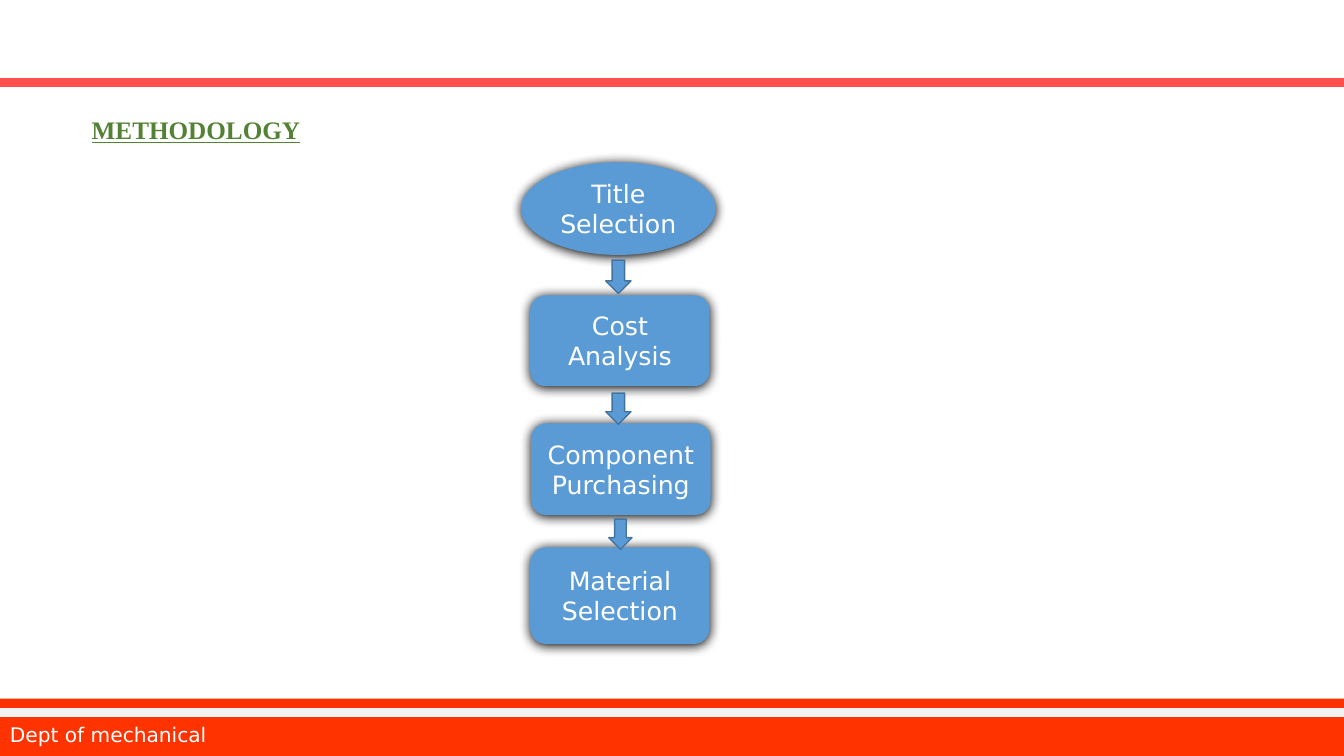
from dataclasses import dataclass

from lxml.etree import SubElement
from pptx import Presentation
from pptx.dml.color import RGBColor
from pptx.enum.shapes import MSO_CONNECTOR as Conn, MSO_SHAPE as Shp
from pptx.enum.text import MSO_ANCHOR as Anchor, MSO_AUTO_SIZE as Fit, PP_ALIGN as Al
from pptx.oxml.ns import qn
from pptx.util import Pt

SANS, SERIF = "DejaVu Sans", "Times New Roman"
WHITE, BLUE, BLUE_EDGE, RED = "FFFFFF", "5B9BD5", "43739E", "FF3300"
LABEL = dict(size=Pt(18), name=SANS)
FOOTER = dict(size=Pt(14.4), name=SANS)
HEADING = dict(size=Pt(18), name=SERIF, bold=True, underline=True)


@dataclass
class Box:
    left: float
    top: float
    width: float
    height: float

    def points(self) -> tuple:
        return Pt(self.left), Pt(self.top), Pt(self.width), Pt(self.height)


@dataclass
class Step:
    text: str
    kind: Shp
    box: Box


@dataclass
class Rule:
    x1: float
    x2: float
    y: float
    color: str


STEPS = [
    Step("Title Selection", Shp.OVAL, Box(372.2, 115.9, 139, 66.2)),
    Step("Cost Analysis", Shp.ROUNDED_RECTANGLE, Box(378.7, 211, 128.2, 64.8)),
    Step("Component Purchasing", Shp.ROUNDED_RECTANGLE, Box(379.4, 302.4, 128.2, 65.5)),
    Step("Material Selection", Shp.ROUNDED_RECTANGLE, Box(378.7, 391, 128.2, 69.1)),
]
ARROWS = [Box(432.7, 185.8, 18, 23.8), Box(432.7, 280.8, 18, 22.3),
          Box(434.9, 370.8, 16.6, 21.6)]


def rgb(color: str) -> RGBColor:
    return RGBColor.from_string(color)


def write(tf, text: str, align: Al, color: str, fmt: dict) -> None:
    tf.word_wrap = True
    tf.auto_size = Fit.NONE
    tf.vertical_anchor = Anchor.MIDDLE
    p = tf.paragraphs[0]
    p.alignment = align
    r = p.add_run()
    r.text = text
    for key, value in fmt.items():
        setattr(r.font, key, value)
    r.font.color.rgb = rgb(color)


def add_block(s, kind: Shp, box: Box, fill: str, edge: str = ""):
    sp = s.shapes.add_shape(kind, *box.points())
    sp.fill.solid()
    sp.fill.fore_color.rgb = rgb(fill)
    if edge:
        sp.line.color.rgb = rgb(edge)
        sp.line.width = Pt(1)
    else:
        sp.line.fill.background()
    sp.shadow.inherit = False
    return sp


def add_shadow(sp) -> None:
    effects = sp._element.spPr.find(qn("a:effectLst"))
    shadow = SubElement(effects, qn("a:outerShdw"), blurRad=str(Pt(8.5)),
                        dist=str(Pt(1)), dir=str(90 * 60000),
                        algn="ctr", rotWithShape="0")
    SubElement(shadow, qn("a:srgbClr"), val="000000")


def add_rule(s, rule: Rule) -> None:
    line = s.shapes.add_connector(Conn.STRAIGHT, Pt(rule.x1), Pt(rule.y),
                                  Pt(rule.x2), Pt(rule.y))
    line.line.color.rgb = rgb(rule.color)
    line.line.width = Pt(6)
    SubElement(line._element.spPr, qn("a:effectLst"))


def add_title(s) -> None:
    title = s.shapes.title
    title.left, title.top, title.width, title.height = Box(58.3, 63.4, 206.6, 61.2).points()
    write(title.text_frame, "METHODOLOGY", Al.LEFT, "548235", HEADING)
    title.text_frame.paragraphs[0].line_spacing = 0.9


def add_footer(s) -> None:
    add_block(s, Shp.RECTANGLE, Box(-1.4, 499, 962, 41), RED)
    add_rule(s, Rule(-1.4, 960, 509, "F2F2F2"))
    tb = s.shapes.add_textbox(*Box(0, 509, 300, 31).points())
    write(tb.text_frame, "Dept of mechanical", Al.LEFT, WHITE, FOOTER)


def add_flow(s) -> None:
    for step in STEPS:
        sp = add_block(s, step.kind, step.box, BLUE)
        add_shadow(sp)
        write(sp.text_frame, step.text, Al.CENTER, WHITE, LABEL)
    for box in ARROWS:
        add_block(s, Shp.DOWN_ARROW, box, BLUE, BLUE_EDGE)


def main() -> None:
    prs = Presentation()
    prs.slide_width, prs.slide_height = Pt(960), Pt(540)
    s = prs.slides.add_slide(prs.slide_layouts.get_by_name("Title Only"))
    add_rule(s, Rule(0, 962, 59, "FF5050"))
    add_title(s)
    add_footer(s)
    add_flow(s)
    prs.save("out.pptx")


if __name__ == "__main__":
    main()
